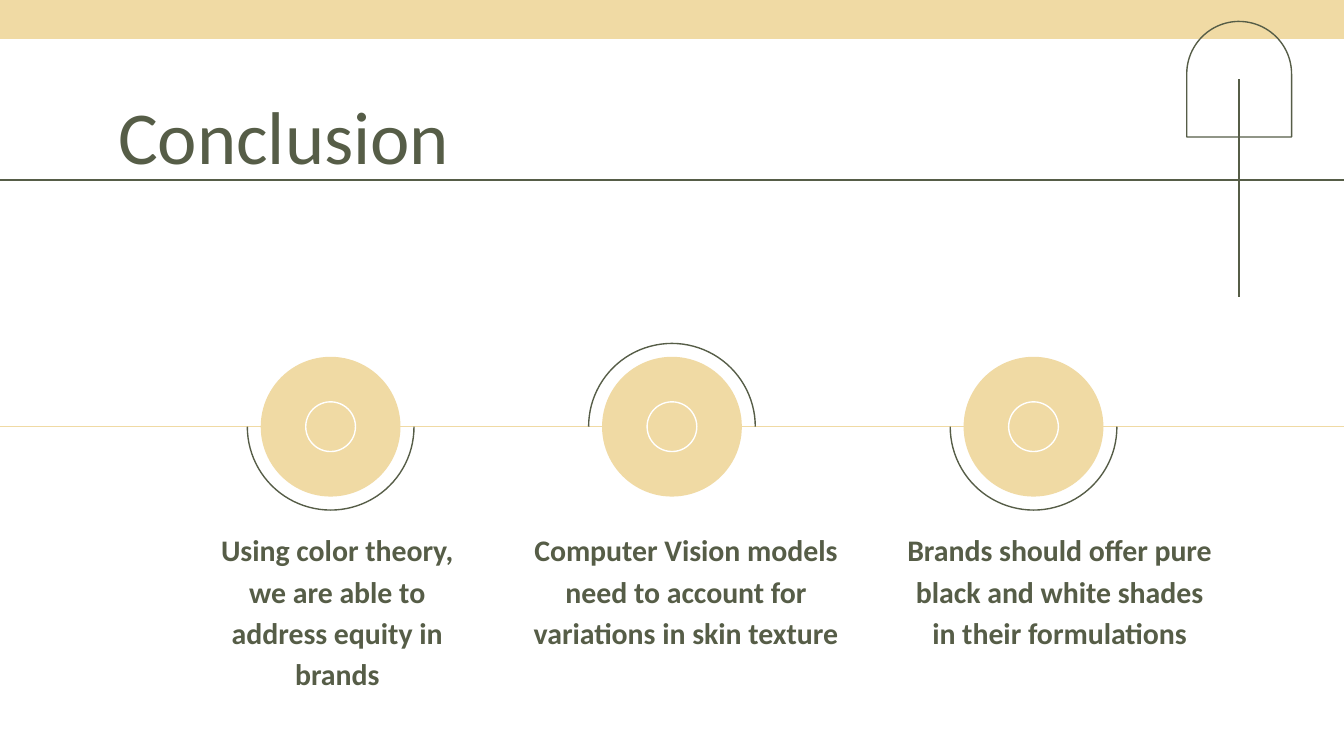
import dataclasses

import lxml.etree
import pptx
import pptx.dml.color
import pptx.enum.shapes
import pptx.enum.text
import pptx.oxml.ns
import pptx.util

Shape = pptx.enum.shapes.MSO_SHAPE
Align = pptx.enum.text.PP_ALIGN

# The grid has square cells: 100 columns by 56.25 rows.
COLUMNS, ROWS = 100, 56.25
CELL = pptx.util.Inches(0.1)

OLIVE, SAND, WHITE = "565D47", "F0DAA4", "FFFFFF"
FONT = "Calibri"

TIMELINE_ROW = 31.75
DISC, ARC, ICON = 10.4, 12.4, 3.7
CAPTION_ROW, CAPTION_HEIGHT = 39.2, 3
ARC_BELOW, ARC_ABOVE = 135, 315


@dataclasses.dataclass(frozen=True)
class Milestone:
    column: float
    arc_rotation: int
    caption_left: float
    caption_width: float
    caption: str


MILESTONES = [
    Milestone(24.6, ARC_BELOW, 14.3, 21.6,
              "Using color theory, we are able to address equity in brands"),
    Milestone(50, ARC_ABOVE, 38.4, 25.3,
              "Computer Vision models need to account for variations in skin texture"),
    Milestone(76.9, ARC_BELOW, 66.2, 25.3,
              "Brands should offer pure black and white shades in their formulations"),
]


def cells(count: float) -> int:
    return round(count * CELL)


def color(value: str) -> pptx.dml.color.RGBColor:
    return pptx.dml.color.RGBColor.from_string(value)


def add_shape(page, kind, left: float, top: float, width: float, height: float,
              fill: str | None = None, line: str | None = None):
    shape = page.shapes.add_shape(kind, cells(left), cells(top), cells(width), cells(height))
    shape.shadow.inherit = False
    if fill:
        shape.fill.solid()
        shape.fill.fore_color.rgb = color(fill)
    else:
        shape.fill.background()
    if line:
        shape.line.color.rgb = color(line)
        shape.line.width = pptx.util.Pt(0.75)
    else:
        shape.line.fill.background()
    return shape


def add_centred(page, kind, column: float, size: float, **paint):
    """Add a square shape centred on the timeline."""
    return add_shape(page, kind, column - size / 2, TIMELINE_ROW - size / 2, size, size, **paint)


def add_line(page, start: tuple[float, float], end: tuple[float, float], line: str) -> None:
    connector = page.shapes.add_connector(
        pptx.enum.shapes.MSO_CONNECTOR.STRAIGHT, *map(cells, start + end))
    connector.line.color.rgb = color(line)
    connector.line.width = pptx.util.Pt(0.75)
    properties = connector.element.find(pptx.oxml.ns.qn("p:spPr"))
    lxml.etree.SubElement(properties, pptx.oxml.ns.qn("a:effectLst"))


def write(box, text: str, size: float, align, top_inset: float, bold: bool = False):
    frame = box.text_frame
    frame.text = text
    frame.word_wrap = True
    frame.auto_size = pptx.enum.text.MSO_AUTO_SIZE.NONE
    frame.vertical_anchor = pptx.enum.text.MSO_ANCHOR.TOP
    frame.margin_left = frame.margin_right = frame.margin_bottom = cells(1)
    frame.margin_top = cells(top_inset)
    para = frame.paragraphs[0]
    para.alignment = align
    para.font.name = FONT
    para.font.size = pptx.util.Pt(size)
    para.font.bold = bold
    para.font.color.rgb = color(OLIVE)
    return para


def add_header(page) -> None:
    add_line(page, (0, 13.4), (COLUMNS, 13.4), OLIVE)
    add_shape(page, Shape.RECTANGLE, 0, 0, COLUMNS, 2.9, fill=SAND)
    arch = add_shape(page, Shape.ROUND_2_SAME_RECTANGLE, 88.3, 1.6, 7.8, 8.6, line=OLIVE)
    arch.adjustments[0] = 0.5
    add_line(page, (92.2, 5.9), (92.2, 22.1), OLIVE)

    title = page.shapes.title
    title.left, title.top, title.width, title.height = map(cells, (7.8, 5.7, 69.5, 15.2))
    write(title, "Conclusion", 40, Align.LEFT, top_inset=1)


def add_milestone(page, item: Milestone) -> None:
    arc = add_centred(page, Shape.ARC, item.column, ARC, line=OLIVE)
    # Arc adjustments count 0.6 to the degree: from 225 to 45 degrees.
    arc.adjustments[0], arc.adjustments[1] = 225 * 0.6, 45 * 0.6
    arc.rotation = item.arc_rotation
    add_centred(page, Shape.OVAL, item.column, DISC, fill=SAND)
    add_centred(page, Shape.OVAL, item.column, ICON, line=WHITE)

    box = page.shapes.add_textbox(*map(cells, (
        item.caption_left, CAPTION_ROW, item.caption_width, CAPTION_HEIGHT)))
    para = write(box, item.caption, 16, Align.CENTER, top_inset=0, bold=True)
    para.line_spacing = 1.15
    para.space_after = pptx.util.Pt(16)


def main() -> None:
    deck = pptx.Presentation()
    deck.slide_width, deck.slide_height = cells(COLUMNS), cells(ROWS)
    page = deck.slides.add_slide(deck.slide_layouts.get_by_name("Title Only"))
    add_header(page)
    add_line(page, (0, TIMELINE_ROW), (COLUMNS, TIMELINE_ROW), SAND)
    for item in MILESTONES:
        add_milestone(page, item)
    deck.save("out.pptx")


if __name__ == "__main__":
    main()
